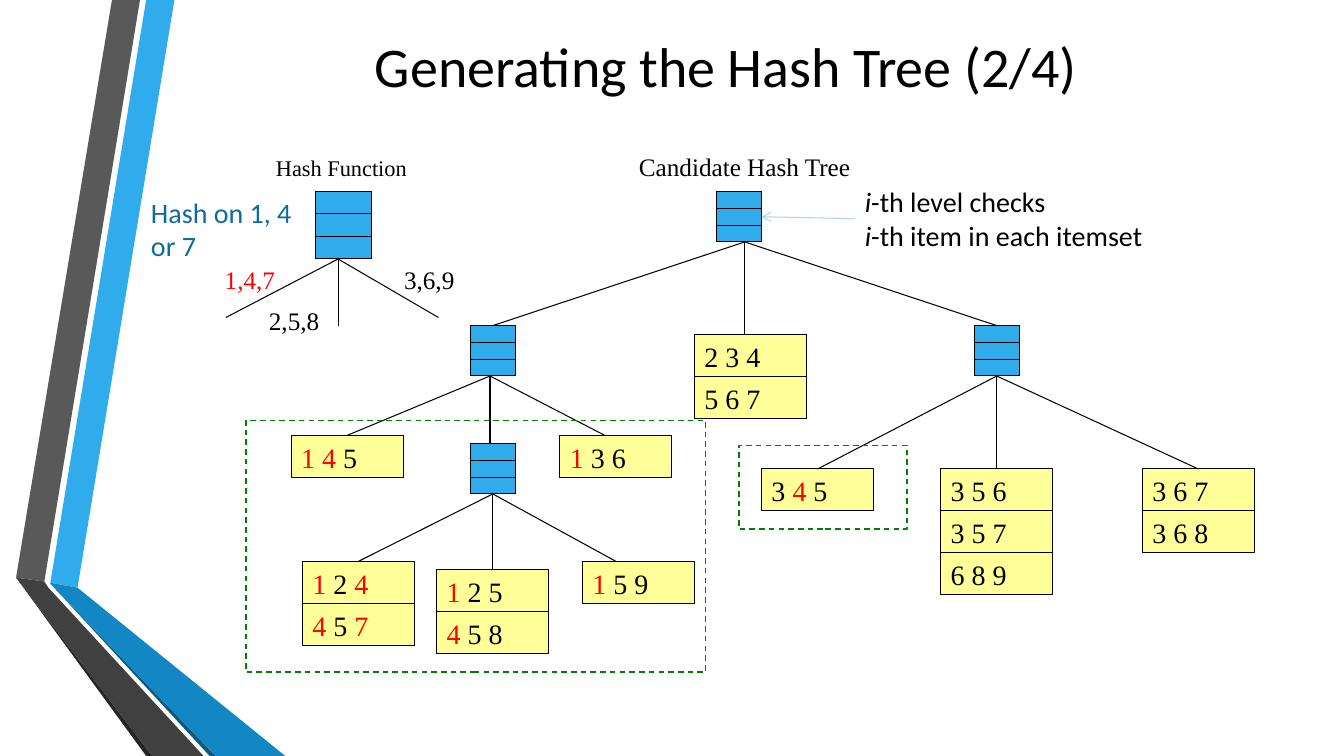
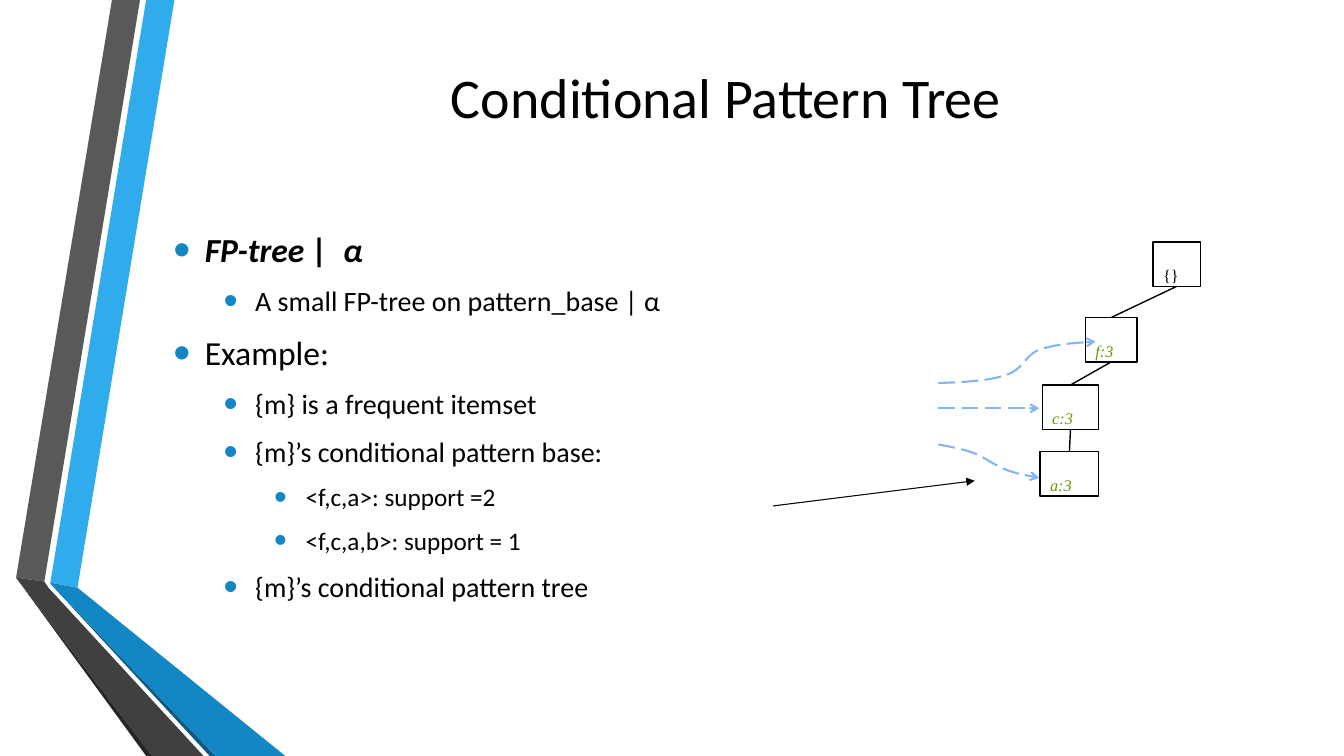
"""Build two slides on hash trees and conditional pattern trees."""
from dataclasses import dataclass
from itertools import pairwise

from lxml import etree
from pptx import Presentation
from pptx.dml.color import RGBColor
from pptx.enum.dml import MSO_LINE
from pptx.enum.shapes import MSO_CONNECTOR, MSO_SHAPE
from pptx.enum.text import MSO_ANCHOR, MSO_AUTO_SIZE, PP_ALIGN
from pptx.oxml.ns import qn
from pptx.util import Pt


@dataclass(frozen=True)
class Theme:
    sans: str = "Calibri"
    serif: str = "Times New Roman"
    black: RGBColor = RGBColor(0, 0, 0)
    red: RGBColor = RGBColor(255, 0, 0)
    blue: RGBColor = RGBColor.from_string("30ACEC")
    bullet: RGBColor = RGBColor.from_string("1287C3")
    note: RGBColor = RGBColor.from_string("0C6D9C")
    yellow: RGBColor = RGBColor.from_string("FFFF99")
    frame: RGBColor = RGBColor.from_string("008000")
    item: RGBColor = RGBColor.from_string("669900")
    pointer: RGBColor = RGBColor.from_string("AED2F4")
    link: RGBColor = RGBColor.from_string("82B6F4")
    title_size: int = 40
    text_size: int = 20
    label_size: int = 18
    caption_size: int = 16
    list_sizes: tuple = (24, 20, 18)


theme = Theme()


def outline(shape, colour=theme.black, weight=0.75, dash=None, arrow=None):
    shape.line.color.rgb = colour
    shape.line.width = Pt(weight)
    if dash:
        shape.line.dash_style = dash
    properties = shape.element.spPr
    if arrow:
        etree.SubElement(properties.find(qn("a:ln")), qn("a:tailEnd"), type=arrow)
    etree.SubElement(properties, qn("a:effectLst"))
    return shape


def add_box(slide, left, top, width, height, fill=None, **border):
    box = slide.shapes.add_shape(MSO_SHAPE.RECTANGLE, Pt(left), Pt(top), Pt(width), Pt(height))
    if fill:
        box.fill.solid()
        box.fill.fore_color.rgb = fill
    else:
        box.fill.background()
    box.text_frame.word_wrap = True
    box.text_frame.vertical_anchor = MSO_ANCHOR.TOP
    box.text_frame.paragraphs[0].alignment = PP_ALIGN.LEFT
    return outline(box, **border)


prs = Presentation()
prs.slide_width, prs.slide_height = Pt(960), Pt(540)
hash_slide = prs.slides.add_slide(prs.slide_layouts[5])
pattern_slide = prs.slides.add_slide(prs.slide_layouts[1])

ribbons = [
    ("30ACEC", [(36, 416.2), (55.4, 419.8), (124.6, 0), (104.4, 0)]),
    ("595959", [(100, 0), (80, 0), (11.5, 412.6), (31.7, 415.4)]),
    ("262626", [(11.5, 412.6), (104.4, 540), (108.7, 540)]),
    ("0C5A82", [(36, 416.9), (149.8, 540), (154.1, 540)]),
    ("1287C3", [(36, 416.2), (36, 416.9), (154.1, 540), (203.8, 540), (55.4, 419.8)]),
    ("404040", [(145.4, 540), (34.6, 419.8), (31.7, 415.4), (11.5, 412.6), (108.7, 540)]),
]
for position, (colour, corners) in enumerate(ribbons, start=2):
    corners = [(Pt(x), Pt(y)) for x, y in corners]
    builder = hash_slide.shapes.build_freeform(*corners[0])
    builder.add_line_segments(corners[1:], close=True)
    ribbon = builder.convert_to_shape()
    ribbon.fill.solid()
    ribbon.fill.fore_color.rgb = RGBColor.from_string(colour)
    ribbon.line.fill.background()
    ribbon.shadow.inherit = False
    prs.slide_master.shapes.element.insert(position, ribbon.element)

for slide, heading, height in [
    (hash_slide, "Generating the Hash Tree (2/4)", 93),
    (pattern_slide, "Conditional Pattern Tree", 138),
]:
    title = slide.shapes.title
    title.left, title.top, title.width, title.height = Pt(124), Pt(0), Pt(789), Pt(height)
    title.text_frame.text = heading
    title.text_frame.vertical_anchor = MSO_ANCHOR.MIDDLE
    title.text_frame.paragraphs[0].alignment = PP_ALIGN.CENTER
    font = title.text_frame.paragraphs[0].runs[0].font
    font.name, font.size, font.color.rgb = theme.sans, Pt(theme.title_size), theme.black

tree = {}
for name, left, top, width, height in [
    ("function", 225.4, 136.8, 40, 48.2),
    ("root", 512, 136.8, 32, 36),
    ("left", 336, 232.6, 32, 36),
    ("right", 696, 232.6, 32, 36),
    ("inner", 336, 316.8, 32, 36),
]:
    tree[name] = add_box(hash_slide, left, top, width, height, fill=theme.blue)
    for third in (1, 2):
        y = Pt(top + height * third / 3)
        outline(hash_slide.shapes.add_connector(
            MSO_CONNECTOR.STRAIGHT, Pt(left), y, Pt(left + width), y))

row_height = 30
for left, top, itemsets, hashed in [
    (208, 311, ["1 4 5"], "147"),
    (400, 311, ["1 3 6"], "147"),
    (216, 401, ["1 2 4", "4 5 7"], "147"),
    (312, 407, ["1 2 5", "4 5 8"], "147"),
    (416, 401, ["1 5 9"], "147"),
    (496, 239, ["2 3 4", "5 6 7"], ""),
    (544, 335, ["3 4 5"], "147"),
    (672, 335, ["3 5 6", "3 5 7", "6 8 9"], ""),
    (816, 335, ["3 6 7", "3 6 8"], ""),
]:
    for row, itemset in enumerate(itemsets):
        leaf = add_box(hash_slide, left, top + row * row_height, 80, row_height, fill=theme.yellow)
        tree[itemset] = leaf
        for character in itemset:
            run = leaf.text_frame.paragraphs[0].add_run()
            run.text = character
            run.font.name, run.font.size = theme.serif, Pt(theme.text_size)
            run.font.color.rgb = theme.red if character in hashed else theme.black

for parent, child, start_x, end_x in [
    ("root", "left", 532, None),
    ("root", "2 3 4", 532, 532),
    ("root", "right", 532, None),
    ("left", "1 4 5", 350, None),
    ("left", "inner", 350, 350),
    ("left", "1 3 6", 350, 432),
    ("right", "3 4 5", None, None),
    ("right", "3 5 6", None, None),
    ("right", "3 6 7", None, None),
    ("inner", "1 2 4", None, None),
    ("inner", "1 2 5", None, None),
    ("inner", "1 5 9", None, 440),
]:
    upper, lower = tree[parent], tree[child]
    branch = hash_slide.shapes.add_connector(
        MSO_CONNECTOR.STRAIGHT, Pt(start_x or 0), upper.top + upper.height, Pt(end_x or 0), lower.top)
    if start_x is None:
        branch.begin_connect(upper, 2)
    if end_x is None:
        branch.end_connect(lower, 0)
    outline(branch)

for end_x, end_y in [(161.3, 226.8), (241.5, 232.6), (313.2, 226.8)]:
    outline(hash_slide.shapes.add_connector(
        MSO_CONNECTOR.STRAIGHT, Pt(241.5), Pt(185), Pt(end_x), Pt(end_y)))

for left, top, width, height, text, font_name, size, colour, wrap in [
    (449.3, 104.4, 167, 28.8, "Candidate Hash Tree", theme.serif, theme.label_size, theme.black, False),
    (190, 106.6, 109.4, 26.6, "Hash Function", theme.serif, theme.caption_size, theme.black, False),
    (153.4, 185, 51, 28.8, "1,4,7", theme.serif, theme.label_size, theme.red, False),
    (185, 214.6, 51, 28.8, "2,5,8", theme.serif, theme.label_size, theme.black, False),
    (281.5, 185, 51, 28.8, "3,6,9", theme.serif, theme.label_size, theme.black, False),
    (100.8, 136, 120.2, 55.4, "Hash on 1, 4 or 7", theme.sans, theme.text_size, theme.note, True),
]:
    label = hash_slide.shapes.add_textbox(Pt(left), Pt(top), Pt(width), Pt(height))
    label.text_frame.word_wrap = wrap
    label.text_frame.text = text
    font = label.text_frame.paragraphs[0].runs[0].font
    font.name, font.size, font.color.rgb = font_name, Pt(size), colour

level_note = hash_slide.shapes.add_textbox(Pt(610.6), Pt(128.2), Pt(336), Pt(55.4)).text_frame
level_note.word_wrap = True
level_note.text = "i\ni"
for paragraph, rest in zip(level_note.paragraphs, ["-th level checks", "-th item in each itemset"]):
    paragraph.add_run().text = rest
    paragraph.runs[0].font.italic = True
    for run in paragraph.runs:
        run.font.name, run.font.size = theme.sans, Pt(theme.text_size)
        run.font.color.rgb = theme.black

for left, top, width, height in [(175.7, 300.2, 328.3, 180), (527.8, 318.2, 120.2, 59.8)]:
    add_box(hash_slide, left, top, width, height, colour=theme.frame, weight=1, dash=MSO_LINE.DASH)

level_pointer = hash_slide.shapes.add_connector(
    MSO_CONNECTOR.STRAIGHT, Pt(610.6), Pt(156.2), Pt(544), Pt(154.8))
level_pointer.end_connect(tree["root"], 3)
outline(level_pointer, theme.pointer, arrow="arrow")

points = [
    (0, "FP-tree |  α"),
    (1, "A small FP-tree on pattern_base | α"),
    (0, "Example:"),
    (1, "{m} is a frequent itemset"),
    (1, "{m}’s conditional pattern base:"),
    (2, "<f,c,a>: support =2"),
    (2, "<f,c,a,b>: support = 1"),
    (1, "{m}’s conditional pattern tree"),
]
body = pattern_slide.placeholders[1]
body.left, body.top, body.width, body.height = Pt(116.6), Pt(139.7), Pt(789), Pt(315)
body.text_frame.auto_size = MSO_AUTO_SIZE.NONE
body.text_frame.vertical_anchor = MSO_ANCHOR.MIDDLE
body.text_frame.text = "\n".join(text for level, text in points)
for paragraph, (level, text) in zip(body.text_frame.paragraphs, points):
    paragraph.level = level
    paragraph.space_after = Pt(6)
    font = paragraph.runs[0].font
    font.name, font.size, font.color.rgb = theme.sans, Pt(theme.list_sizes[level]), theme.black
    settings = paragraph._p.get_or_add_pPr()
    settings.set("marL", str(Pt(22.5 + 36 * level)))
    settings.set("indent", str(Pt(-22.5)))
    bullet_colour = etree.SubElement(settings, qn("a:buClr"))
    etree.SubElement(bullet_colour, qn("a:srgbClr"), val=str(theme.bullet))
    etree.SubElement(settings, qn("a:buSzPct"), val="145000")
    etree.SubElement(settings, qn("a:buChar"), char="•")
lead_font = body.text_frame.paragraphs[0].runs[0].font
lead_font.bold = lead_font.italic = True

prefix_nodes = []
for left, top, width, text in [
    (823.7, 172.8, 33.8, "{}"),
    (775.4, 226.8, 36.7, "f:3"),
    (744.5, 275, 40.3, "c:3"),
    (743, 322.6, 41.8, "a:3"),
]:
    node = add_box(pattern_slide, left, top, width, 31.7, weight=1)
    node.text_frame.text = text
    run = node.text_frame.paragraphs[0].runs[0]
    run.font.name, run.font.size = theme.serif, Pt(theme.text_size)
    run.font.italic = text != "{}"
    run.font.color.rgb = theme.item if run.font.italic else theme.black
    run._r.get_or_add_rPr().set("baseline", "-25000")
    prefix_nodes.append(node)

for upper, lower in pairwise(prefix_nodes):
    branch = pattern_slide.shapes.add_connector(MSO_CONNECTOR.STRAIGHT, 0, 0, 0, 0)
    branch.begin_connect(upper, 2)
    branch.end_connect(lower, 0)
    outline(branch, weight=1)

link_style = dict(colour=theme.link, weight=1.5, dash=MSO_LINE.LONG_DASH, arrow="arrow")
for controls in [
    [(670.3, 273.6), (688.3, 272.9), (706.3, 272.2), (718.6, 267.8), (730.8, 264.2),
     (731.5, 254.2), (742.3, 249.8), (753.1, 246.2), (767.5, 244.8), (782.6, 244.1)],
    [(670.3, 317.5), (678.2, 319), (686.2, 320.4), (694.8, 323.3), (702.7, 326.2),
     (710.6, 332.6), (718.6, 335.5), (726.5, 338.4), (734.4, 339.8), (742.3, 341.3)],
]:
    controls = [(Pt(x), Pt(y)) for x, y in controls]
    builder = pattern_slide.shapes.build_freeform(*controls[0])
    builder.add_line_segments(controls[1:], close=False)
    node_link = builder.convert_to_shape()
    node_link.fill.background()
    steps = node_link.element.xpath(".//a:lnTo")
    for first in range(0, len(steps), 3):
        curve = etree.SubElement(steps[first].getparent(), qn("a:cubicBezTo"))
        for step in steps[first:first + 3]:
            curve.append(step[0])
            step.getparent().remove(step)
    outline(node_link, **link_style)

outline(pattern_slide.shapes.add_connector(
    MSO_CONNECTOR.STRAIGHT, Pt(670.3), Pt(291.6), Pt(742.3), Pt(291.6)), **link_style)
outline(pattern_slide.shapes.add_connector(
    MSO_CONNECTOR.STRAIGHT, Pt(552.2), Pt(361.4), Pt(696.2), Pt(343.4)), arrow="triangle")

prs.save("out.pptx")
